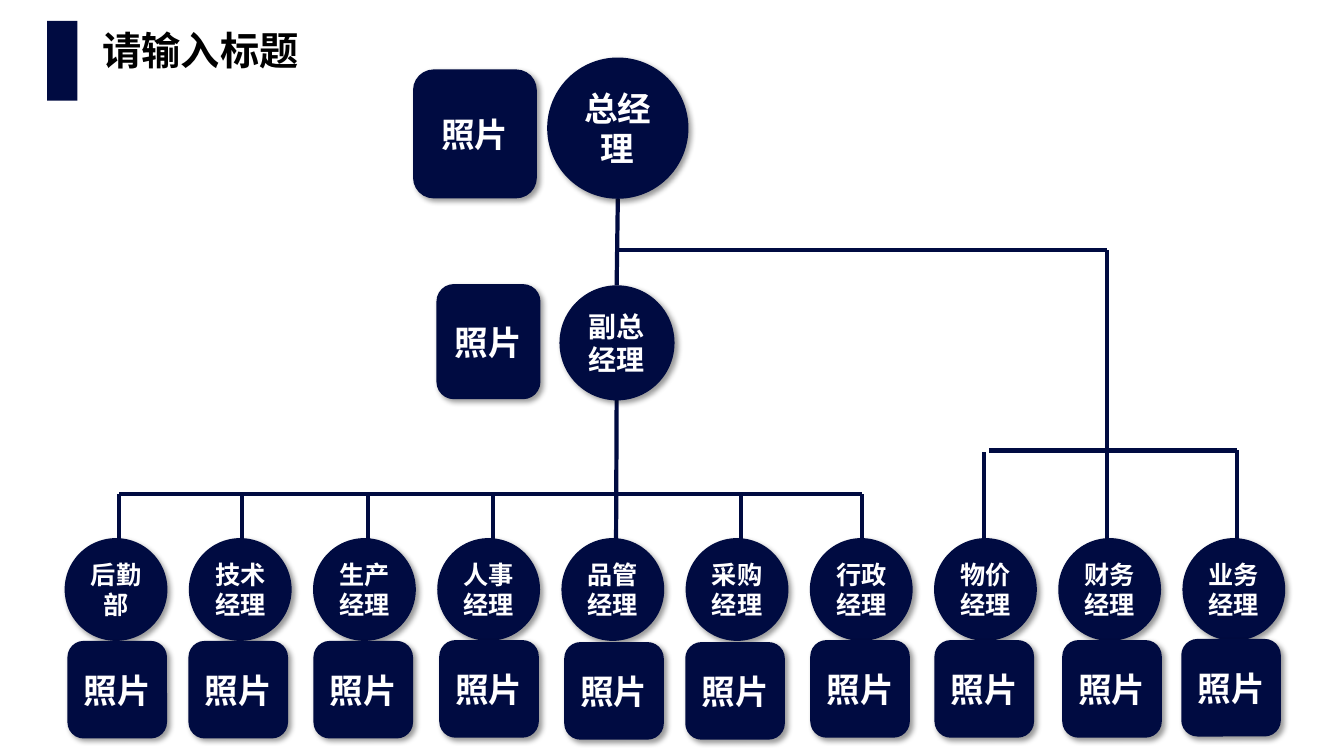
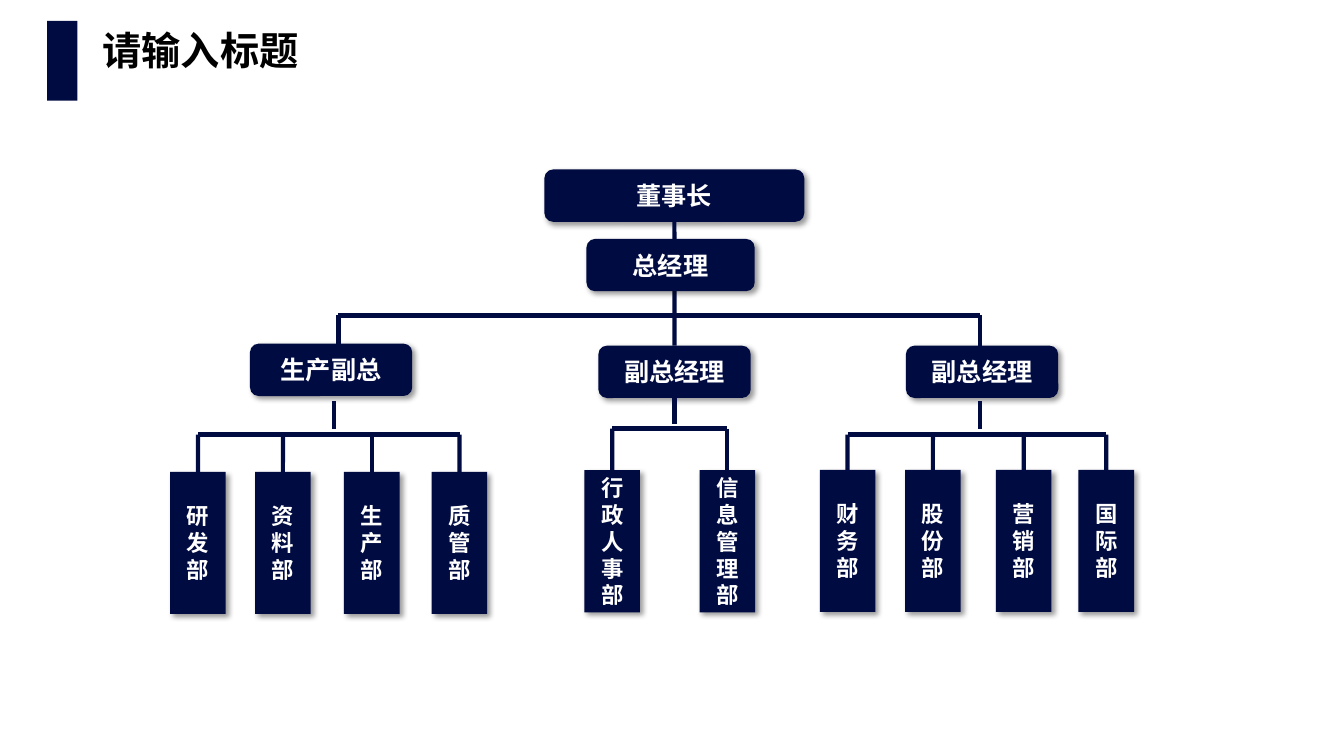
from lxml.etree import SubElement
from pptx import Presentation
from pptx.dml.color import RGBColor
from pptx.enum.shapes import MSO_CONNECTOR, MSO_SHAPE
from pptx.enum.text import MSO_ANCHOR, PP_ALIGN
from pptx.oxml.ns import qn
from pptx.util import Cm, Pt

COLORS = {"navy": "000B41", "white": "FFFFFF", "black": "000000"}
FONT = "Noto Sans CJK SC"
TITLE = "请输入标题"
PHOTO = "照片"

# Bottom row of the manager chart: name, left and top of the photo tile
MANAGERS = [
    ("后勤部", 1.7, 16.15), ("技术经理", 4.75, 16.15), ("生产经理", 7.9, 16.15),
    ("人事经理", 11.07, 16.13), ("品管经理", 14.22, 16.18), ("采购经理", 17.27, 16.18),
    ("行政经理", 20.42, 16.13), ("物价经理", 23.55, 16.13), ("财务经理", 26.77, 16.13),
    ("业务经理", 29.77, 16.1),
]

# Department groups: top of the boxes, height of the bus, name and left of each box
DEPARTMENT_GROUPS = [
    (11.89, 10.95, [("研发部", 4.29), ("资料部", 6.43), ("生产部", 8.67), ("质管部", 10.88)]),
    (11.85, 10.8, [("行政人事部", 14.73), ("信息管理部", 17.63)]),
    (11.84, 10.95, [("财务部", 20.66), ("股份部", 22.81), ("营销部", 25.1), ("国际部", 27.18)]),
]


def color(name):
    return RGBColor.from_string(COLORS[name])


def write(shape, text, size, ink):
    """Fill a shape with one bold paragraph and return it."""
    frame = shape.text_frame
    frame.word_wrap = True
    frame.text = text
    para = frame.paragraphs[0]
    for span in para.runs:
        span.font.size = Pt(size)
        span.font.bold = True
        span.font.name = FONT
        span.font.color.rgb = color(ink)
        properties = span.font._element
        SubElement(properties, qn("a:ea"), typeface=FONT)
    return para


def add_solid(page, kind, left, top, width, height):
    shape = page.shapes.add_shape(kind, Cm(left), Cm(top), Cm(width), Cm(height))
    shape.shadow.inherit = False
    shape.fill.solid()
    shape.fill.fore_color.rgb = color("navy")
    shape.line.fill.background()
    return shape


def add_node(page, kind, left, top, width, height, text, size):
    """Labelled chart node with a soft shadow to the lower right."""
    node = add_solid(page, kind, left, top, width, height)
    effects = node._element.spPr.find(qn("a:effectLst"))
    shadow = SubElement(effects, qn("a:outerShdw"), blurRad=str(Pt(4)), dist=str(Pt(3)),
                        dir="2700000", algn="tl", rotWithShape="0")
    tint = SubElement(shadow, qn("a:srgbClr"), val=COLORS["black"])
    SubElement(tint, qn("a:alpha"), val="40000")
    para = write(node, text, size, "white")
    para.alignment = PP_ALIGN.CENTER
    node.text_frame.vertical_anchor = MSO_ANCHOR.MIDDLE
    return node


def add_circle(page, left, top, size, text, points):
    return add_node(page, MSO_SHAPE.OVAL, left, top, size, size, text, points)


def add_photo(page, left, top, width=2.51, height=2.46):
    return add_node(page, MSO_SHAPE.ROUNDED_RECTANGLE, left, top, width, height, PHOTO, 24)


def add_post(page, left, top, width, text):
    return add_node(page, MSO_SHAPE.ROUNDED_RECTANGLE, left, top, width, 1.32, text, 18)


def add_line(page, x1, y1, x2, y2):
    line = page.shapes.add_connector(MSO_CONNECTOR.STRAIGHT, Cm(x1), Cm(y1), Cm(x2), Cm(y2))
    line.line.color.rgb = color("navy")
    line.line.width = Pt(3)
    SubElement(line._element.spPr, qn("a:effectLst"))
    return line


def add_page(deck):
    """Blank page with the shared band and title."""
    page = deck.slides.add_slide(deck.slide_layouts[6])
    add_solid(page, MSO_SHAPE.RECTANGLE, 1.19, 0.53, 0.76, 2.01)
    box = page.shapes.add_textbox(Cm(2.34), Cm(0.79), Cm(21.41), Cm(1.52))
    para = write(box, TITLE, 28, "black")
    para.line_spacing = 0.9
    box.text_frame.margin_top = 0
    return page


def build_manager_chart(deck):
    page = add_page(deck)

    # Trunk and the branch to the right
    add_line(page, 15.57, 5, 15.54, 7.19)
    add_line(page, 15.54, 10.08, 15.52, 14.86)
    add_line(page, 15.54, 6.3, 27.89, 6.3)
    add_line(page, 27.89, 6.3, 27.89, 14.22)

    # Buses and drops to the managers
    add_line(page, 3, 12.45, 21.72, 12.45)
    for x in (3, 6.1, 9.27, 12.42, 18.67, 21.72):
        add_line(page, x, 12.45, x, 14.17)
    add_line(page, 24.92, 11.35, 31.17, 11.35)
    add_line(page, 24.79, 11.4, 24.79, 13.56)
    add_line(page, 31.17, 11.35, 31.17, 14.17)

    # Top management
    add_circle(page, 13.79, 1.45, 3.56, "总经理", 24)
    add_circle(page, 14.1, 7.19, 2.9, "副总经理", 20)
    add_photo(page, 10.41, 1.75, 3.12, 3.25)
    add_photo(page, 11, 7.16, 2.62, 2.9)

    # Managers with their photos
    for index, (name, photo_left, photo_top) in enumerate(MANAGERS):
        add_circle(page, 1.63 + index * 3.13, 13.56, 2.59, name, 18)
        add_photo(page, photo_left, photo_top)


def add_departments(page, top, bus_y, departments):
    """Row of department boxes hanging from one horizontal bus."""
    width = 1.4
    centers = [left + width / 2 for _, left in departments]
    add_line(page, centers[0], bus_y, centers[-1], bus_y)
    for (name, left), center in zip(departments, centers):
        box = add_node(page, MSO_SHAPE.RECTANGLE, left, top, width, 3.58, name, 16)
        add_line(page, center, bus_y, center, top).end_connect(box, 0)


def build_department_chart(deck):
    page = add_page(deck)

    # Leadership, with the trunk running behind the general manager
    chairman = add_post(page, 13.72, 4.27, 6.55, "董事长")
    deputy = add_post(page, 15.08, 8.71, 3.84, "副总经理")
    trunk = add_line(page, 17, 5.59, 17, 8.71)
    trunk.begin_connect(chairman, 2)
    trunk.end_connect(deputy, 0)
    add_post(page, 14.78, 6.02, 4.24, "总经理")

    # Side branches
    add_post(page, 6.3, 8.66, 4.09, "生产副总")
    add_post(page, 22.83, 8.71, 3.84, "副总经理")
    add_line(page, 8.53, 7.95, 24.69, 7.95)
    for drop_x, stub_x in ((8.53, 8.41), (24.69, 24.69)):
        add_line(page, drop_x, 7.95, drop_x, 8.9)
        add_line(page, stub_x, 10.11, stub_x, 10.82)
    add_line(page, 17, 10.03, 17, 10.69).begin_connect(deputy, 2)

    # Departments
    for top, bus_y, departments in DEPARTMENT_GROUPS:
        add_departments(page, top, bus_y, departments)


def main():
    deck = Presentation()
    deck.slide_width = Cm(33.87)
    deck.slide_height = Cm(19.05)
    build_manager_chart(deck)
    build_department_chart(deck)
    deck.save("out.pptx")


if __name__ == "__main__":
    main()
